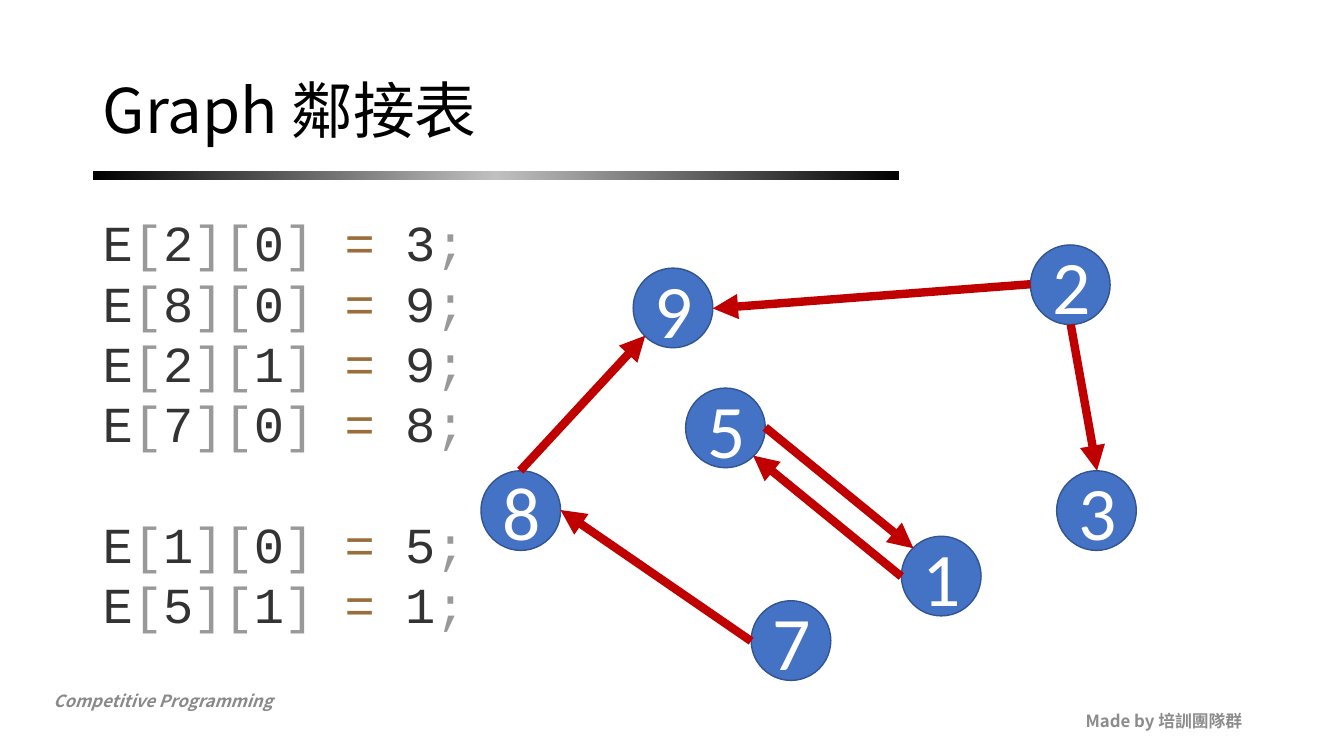
from copy import deepcopy
from math import cos, radians, sin

from lxml.etree import SubElement
from pptx import Presentation
from pptx.dml.color import RGBColor
from pptx.enum.shapes import MSO_CONNECTOR as Connector, MSO_SHAPE as Shape
from pptx.enum.text import MSO_ANCHOR as Anchor, PP_ALIGN as Align
from pptx.oxml.ns import qn
from pptx.util import Emu, Pt

PX = 9144  # 100 px to the inch
BLACK = RGBColor(0x00, 0x00, 0x00)
WHITE = RGBColor(0xFF, 0xFF, 0xFF)
SILVER = RGBColor(0xC0, 0xC0, 0xC0)
FOOTER_GRAY = RGBColor(0x89, 0x89, 0x89)
CREDIT_GRAY = RGBColor(0x8C, 0x8C, 0x8C)
CODE_DARK = RGBColor(0x33, 0x33, 0x33)
CODE_GRAY = RGBColor(0x99, 0x99, 0x99)
CODE_BROWN = RGBColor(0x9A, 0x6E, 0x3A)
NODE_BLUE = RGBColor(0x44, 0x72, 0xC4)
NODE_EDGE = RGBColor(0x32, 0x54, 0x91)
ARROW_RED = RGBColor(0xC0, 0x00, 0x00)

NODE_SIZE = 79
# Directions on a node, in degrees clockwise from the right
RIGHT, BOTTOM_RIGHT, BOTTOM, BOTTOM_LEFT, LEFT, TOP_LEFT, TOP = range(0, 271, 45)

# Node: left, top
NODES = {
    8: (477, 467), 7: (745, 596), 9: (628, 266), 2: (1022, 243),
    3: (1048, 467), 5: (680, 385), 1: (894, 532),
}
# Start node, side, end node, side
EDGES = [
    (7, LEFT, 8, RIGHT), (8, TOP, 9, BOTTOM_LEFT), (2, LEFT, 9, RIGHT),
    (2, BOTTOM, 3, TOP), (1, LEFT, 5, BOTTOM_RIGHT), (5, RIGHT, 1, TOP_LEFT),
]
# Node, index, neighbour, whether a gap comes before
ASSIGNMENTS = [
    (2, 0, 3, False), (8, 0, 9, False), (2, 1, 9, False),
    (7, 0, 8, False), (1, 0, 5, True), (5, 1, 1, False),
]


def px(*lengths):
    return [Emu(length * PX) for length in lengths]


class GraphSlide:
    text_font = "Noto Sans CJK SC"
    code_font = "Courier New"
    node_font = "Calibri"

    def __init__(self, presentation):
        self.slide = presentation.slides.add_slide(presentation.slide_layouts[6])

    def style(self, paragraph, name, size, color=None, bold=False, italic=False):
        font = paragraph.font
        font.size, font.bold, font.italic = Pt(size), bold, italic
        if color is not None:
            font.color.rgb = color
        font.name = name
        properties = paragraph._p.pPr.find(qn("a:defRPr"))
        SubElement(properties, qn("a:ea")).set("typeface", name)

    def frame(self, box, anchor):
        frame = self.slide.shapes.add_textbox(*px(*box)).text_frame
        frame.word_wrap = True
        frame.vertical_anchor = anchor
        return frame

    def text(self, box, words, size, color, anchor=Anchor.TOP, align=Align.LEFT,
             spacing=1.0, bold=False, italic=False):
        paragraph = self.frame(box, anchor).paragraphs[0]
        paragraph.text = words
        paragraph.alignment = align
        paragraph.line_spacing = spacing
        self.style(paragraph, self.text_font, size, color, bold, italic)

    def code(self, box, assignments, size, pitch):
        frame = self.frame(box, Anchor.TOP)
        frame.margin_top = px(10)[0]
        for number, (node, index, neighbour, gap) in enumerate(assignments):
            paragraph = frame.add_paragraph() if number else frame.paragraphs[0]
            paragraph.line_spacing = Pt(pitch)
            if gap:
                paragraph.space_before = Pt(pitch)
            self.style(paragraph, self.code_font, size)
            for token, color in [
                ("E", CODE_DARK), ("[", CODE_GRAY), (str(node), CODE_DARK),
                ("][", CODE_GRAY), (str(index), CODE_DARK), ("] ", CODE_GRAY),
                ("= ", CODE_BROWN), (str(neighbour), CODE_DARK), (";", CODE_GRAY),
            ]:
                run = paragraph.add_run()
                run.text = token
                run.font.color.rgb = color

    def gradient_bar(self, box, colors):
        """Draw a bar whose three colours run evenly from left to right."""
        bar = self.slide.shapes.add_shape(Shape.RECTANGLE, *px(*box))
        bar.shadow.inherit = False
        bar.line.fill.background()
        bar.fill.gradient()
        bar.fill.gradient_angle = 0
        stop_list = next(bar._element.iter(qn("a:gsLst")))
        stop_list.append(deepcopy(stop_list[-1]))
        for number, (stop, color) in enumerate(zip(bar.fill.gradient_stops, colors)):
            stop.position = number / 2
            stop.color.rgb = color

    def node(self, label, left, top):
        circle = self.slide.shapes.add_shape(
            Shape.OVAL, *px(left, top, NODE_SIZE, NODE_SIZE))
        circle.shadow.inherit = False
        circle.fill.solid()
        circle.fill.fore_color.rgb = NODE_BLUE
        circle.line.color.rgb = NODE_EDGE
        circle.line.width = Pt(1)
        frame = circle.text_frame
        frame.vertical_anchor = Anchor.MIDDLE
        paragraph = frame.paragraphs[0]
        paragraph.text = str(label)
        paragraph.alignment = Align.CENTER
        self.style(paragraph, self.node_font, 54, WHITE)

    def arrow(self, start, end):
        connector = self.slide.shapes.add_connector(
            Connector.STRAIGHT, *px(*start, *end))
        connector.line.color.rgb = ARROW_RED
        connector.line.width = Pt(6)
        SubElement(connector.line._get_or_add_ln(), qn("a:tailEnd")).set("type", "triangle")
        SubElement(connector._element.spPr, qn("a:effectLst"))


def rim_point(node, angle):
    """Return the point on a node's circle in the given direction."""
    left, top = NODES[node]
    radius = NODE_SIZE / 2
    return (round(left + radius + radius * cos(radians(angle))),
            round(top + radius + radius * sin(radians(angle))))


def main():
    presentation = Presentation()
    presentation.slide_width, presentation.slide_height = px(1333, 750)
    page = GraphSlide(presentation)
    page.text((43, 680, 425, 30), "Competitive Programming", 12, FOOTER_GRAY,
              bold=True, italic=True)
    page.text((942, 695, 300, 40), "Made by 培訓團隊群", 12, CREDIT_GRAY,
              Anchor.MIDDLE, Align.RIGHT, bold=True)
    page.gradient_bar((92, 170, 800, 9), (BLACK, SILVER, BLACK))
    page.text((92, 40, 1150, 145), "Graph 鄰接表", 44, BLACK, Anchor.MIDDLE, spacing=0.9)
    page.code((92, 200, 1150, 476), ASSIGNMENTS, 36, 43.1)
    for label, (left, top) in NODES.items():
        page.node(label, left, top)
    for start, start_side, end, end_side in EDGES:
        page.arrow(rim_point(start, start_side), rim_point(end, end_side))
    presentation.save("out.pptx")


if __name__ == "__main__":
    main()
